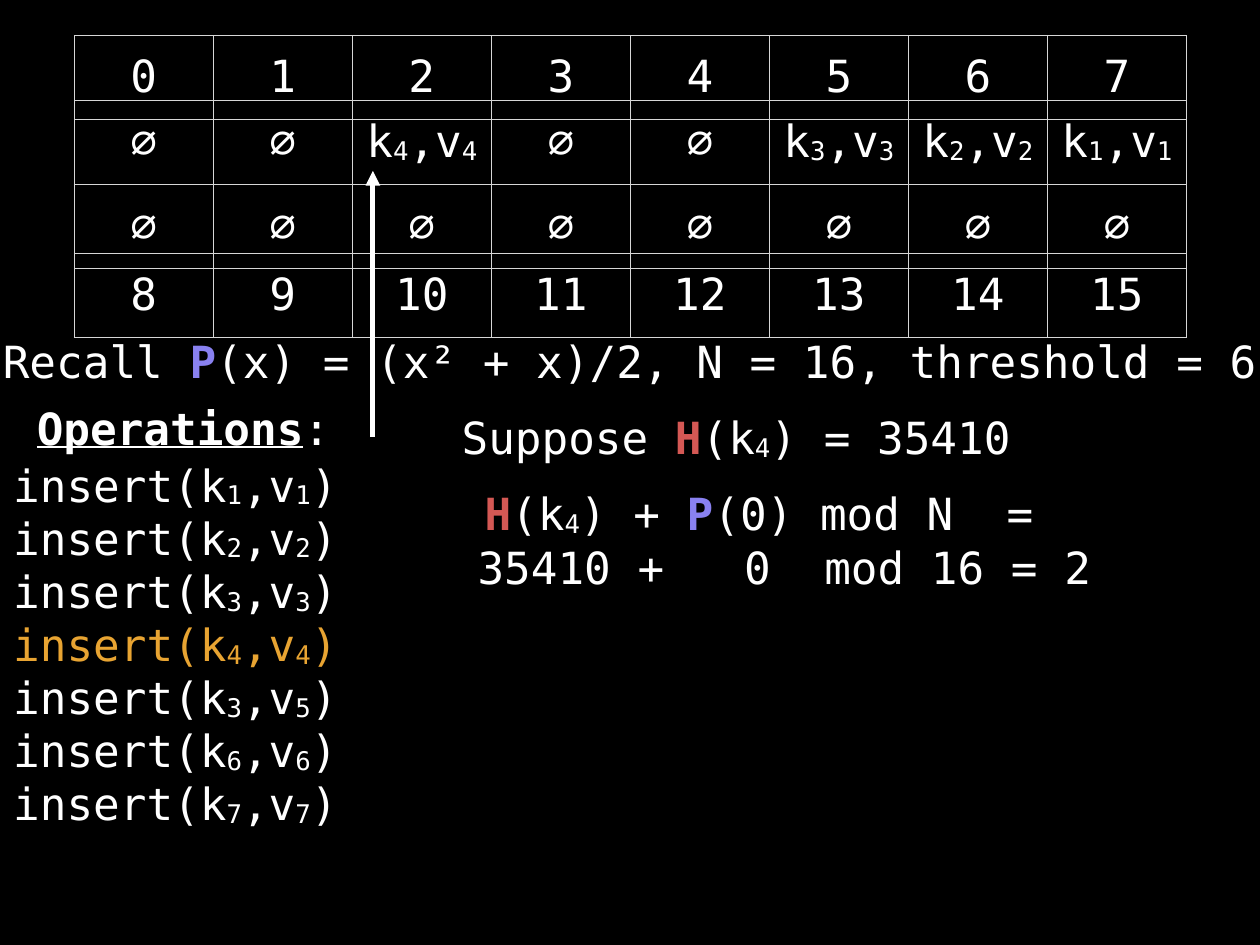
from dataclasses import dataclass

from lxml.etree import SubElement
from pptx import Presentation
from pptx.dml.color import RGBColor
from pptx.enum.shapes import MSO_CONNECTOR as Connector
from pptx.enum.text import MSO_ANCHOR as Anchor, PP_ALIGN as Align
from pptx.oxml.ns import qn
from pptx.util import Cm, Pt


@dataclass(frozen=True)
class Theme:
    """Colours, font and sizes of the slide."""
    background: str = "000000"
    text: str = "FFFFFF"
    probe: str = "8981F0"
    hash: str = "D45854"
    current: str = "E8A432"
    border: str = "D6D6D6"
    font: str = "DejaVu Sans Mono"
    size: int = 36
    border_width: int = 1
    arrow_width: int = 4
    inset: float = 0.15


THEME = Theme()
PROBE = ("P", {"color": THEME.probe, "bold": True})
HASH = ("H", {"color": THEME.hash, "bold": True})
EMPTY = "∅"


def subscript(digit, color=THEME.text):
    """Return a lowered digit as a run."""
    return str(digit), {"color": color, "lowered": True}


def pair(key, value, color=THEME.text):
    """Return the runs of a key and value pair."""
    return [("k", {"color": color}), subscript(key, color),
            (",v", {"color": color}), subscript(value, color)]


def insertion(key, value, color=THEME.text):
    """Return the runs of an insert call."""
    return [("insert(", {"color": color}), *pair(key, value, color), (")", {"color": color})]


def add_runs(paragraph, runs):
    """Write plain strings or styled runs into a paragraph."""
    for item in runs:
        text, style = (item, {}) if isinstance(item, str) else item
        run = paragraph.add_run()
        run.text = text
        formats = {"name": THEME.font, "size": Pt(THEME.size),
                   "bold": style.get("bold", False), "underline": style.get("underline", False)}
        for name, value in formats.items():
            setattr(run.font, name, value)
        run.font.color.rgb = RGBColor.from_string(style.get("color", THEME.text))
        if style.get("lowered"):
            run.font._element.set("baseline", "-6000")


def add_text(slide, box, lines, align=Align.LEFT, anchor=Anchor.MIDDLE, tabs=()):
    """Place a text box holding one paragraph per line."""
    frame = slide.shapes.add_textbox(*map(Cm, box)).text_frame
    formats = {"word_wrap": True, "vertical_anchor": anchor}
    formats.update({f"margin_{side}": Cm(THEME.inset) for side in ("left", "top", "right", "bottom")})
    for name, value in formats.items():
        setattr(frame, name, value)
    for index, runs in enumerate(lines):
        paragraph = frame.add_paragraph() if index else frame.paragraphs[0]
        paragraph.alignment = align
        if tabs:
            tab_list = SubElement(paragraph._p.get_or_add_pPr(), qn("a:tabLst"))
            for position in tabs:
                SubElement(tab_list, qn("a:tab"), pos=str(Cm(position)), algn="l")
        add_runs(paragraph, runs)


def add_borders(cell):
    """Draw the four thin borders of a cell."""
    properties = cell._tc.get_or_add_tcPr()
    for side in ("lnL", "lnR", "lnT", "lnB"):
        line = SubElement(properties, qn(f"a:{side}"), w=str(Pt(THEME.border_width)))
        fill = SubElement(line, qn("a:solidFill"))
        SubElement(fill, qn("a:srgbClr"), val=THEME.border)


def add_slot_row(slide, box, entries):
    """Place a one-row table with equal columns."""
    table = slide.shapes.add_table(1, len(entries), *map(Cm, box)).table
    table.first_row = table.horz_banding = False
    for column, entry in enumerate(entries):
        table.columns[column].width = Cm(box[2] / len(entries))
        cell = table.cell(0, column)
        cell.vertical_anchor = Anchor.MIDDLE
        for side in ("left", "top", "right", "bottom"):
            setattr(cell, f"margin_{side}", Cm(THEME.inset))
        add_borders(cell)
        cell.fill.background()
        paragraph = cell.text_frame.paragraphs[0]
        paragraph.alignment = Align.CENTER
        add_runs(paragraph, entry)


def add_hash_table(slide, left, top, width, row_height):
    """Place both halves of the hash table with their slot numbers."""
    slots = {2: pair(4, 4), 5: pair(3, 3), 6: pair(2, 2), 7: pair(1, 1)}
    entries = [slots.get(slot, [EMPTY]) for slot in range(16)]
    numbers = [[str(slot)] for slot in range(16)]
    rows = ((1.85, entries[:8]), (4.26, entries[8:]), (0, numbers[:8]), (6.24, numbers[8:]))
    for offset, row in rows:
        add_slot_row(slide, (left, top + offset, width, row_height), row)


def add_operations(slide, left, top, width, height):
    """Place the heading and the list of insert calls."""
    heading = [("Operations", {"bold": True, "underline": True}), ":"]
    add_text(slide, (left + 0.28, top, 9.5, 1.73), [heading], Align.CENTER)
    operations = ((1, 1), (2, 2), (3, 3), (4, 4), (3, 5), (6, 6), (7, 7))
    lines = [insertion(key, value, THEME.current if (key, value) == (4, 4) else THEME.text)
             for key, value in operations]
    add_text(slide, (left, top + 1.58, width, height - 1.58), lines, anchor=Anchor.TOP)


def add_probe_steps(slide, left, top, width, line_height):
    """Place the hash value and the worked probe."""
    suppose = ["Suppose ", HASH, "(k", subscript(4), ") = 35410"]
    formula = [HASH, "(k", subscript(4), ") + ", PROBE, "(0) mod N\t="]
    add_text(slide, (left, top, 17, line_height), [suppose], Align.CENTER)
    add_text(slide, (left + 1.14, top + 2.18, width, line_height), [formula], tabs=(14.97,))
    add_text(slide, (left + 0.94, top + 3.73, width, line_height),
             [["35410 +\t0\tmod 16 = 2"]], tabs=(7.64, 9.94))


def add_slot_arrow(slide, x, bottom, top):
    """Draw the arrow up to the chosen slot."""
    arrow = slide.shapes.add_connector(Connector.STRAIGHT, Cm(x), Cm(bottom), Cm(x), Cm(top))
    arrow.line.color.rgb = RGBColor.from_string(THEME.text)
    arrow.line.width = Pt(THEME.arrow_width)
    SubElement(arrow.line._get_or_add_ln(), qn("a:tailEnd"), type="triangle")
    SubElement(arrow._element.spPr, qn("a:effectLst"))


def main():
    """Build and save the quadratic probing slide."""
    presentation = Presentation()
    presentation.slide_width, presentation.slide_height = Cm(36.12), Cm(27.1)
    slide = presentation.slides.add_slide(presentation.slide_layouts[6])
    slide.background.fill.solid()
    slide.background.fill.fore_color.rgb = RGBColor.from_string(THEME.background)
    add_hash_table(slide, 2.13, 1.02, 31.88, 2.41)
    recall = ["Recall ", PROBE, "(x) = (x² + x)/2, N = 16, threshold = 6"]
    add_text(slide, (-1.75, 9.47, 39.6, 1.73), [recall], Align.CENTER)
    add_probe_steps(slide, 12.6, 11.66, 18.5, 1.73)
    add_slot_arrow(slide, 10.69, 12.52, 4.9)
    add_operations(slide, 0.23, 11.4, 10.5, 12)
    presentation.save("out.pptx")


if __name__ == "__main__":
    main()
